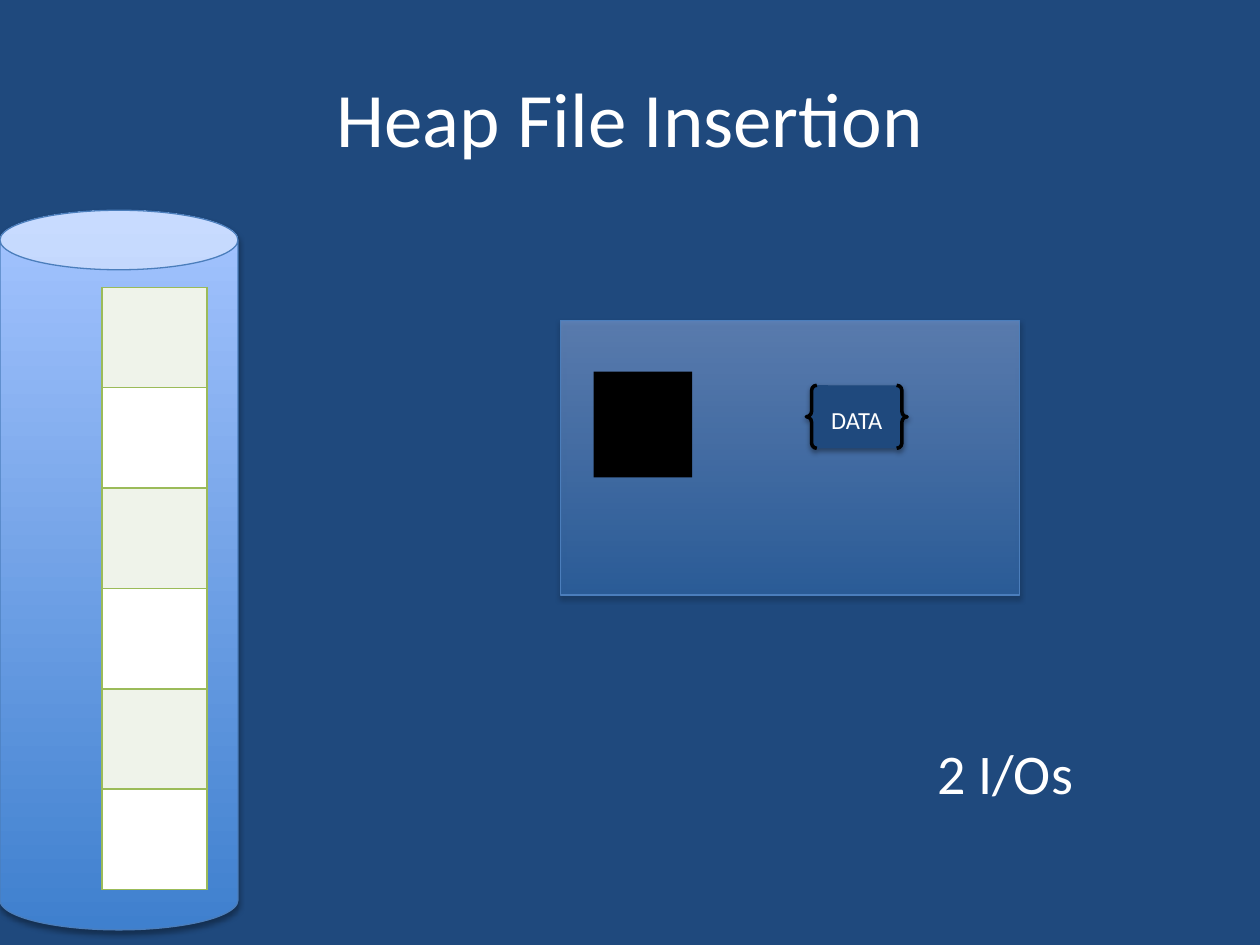
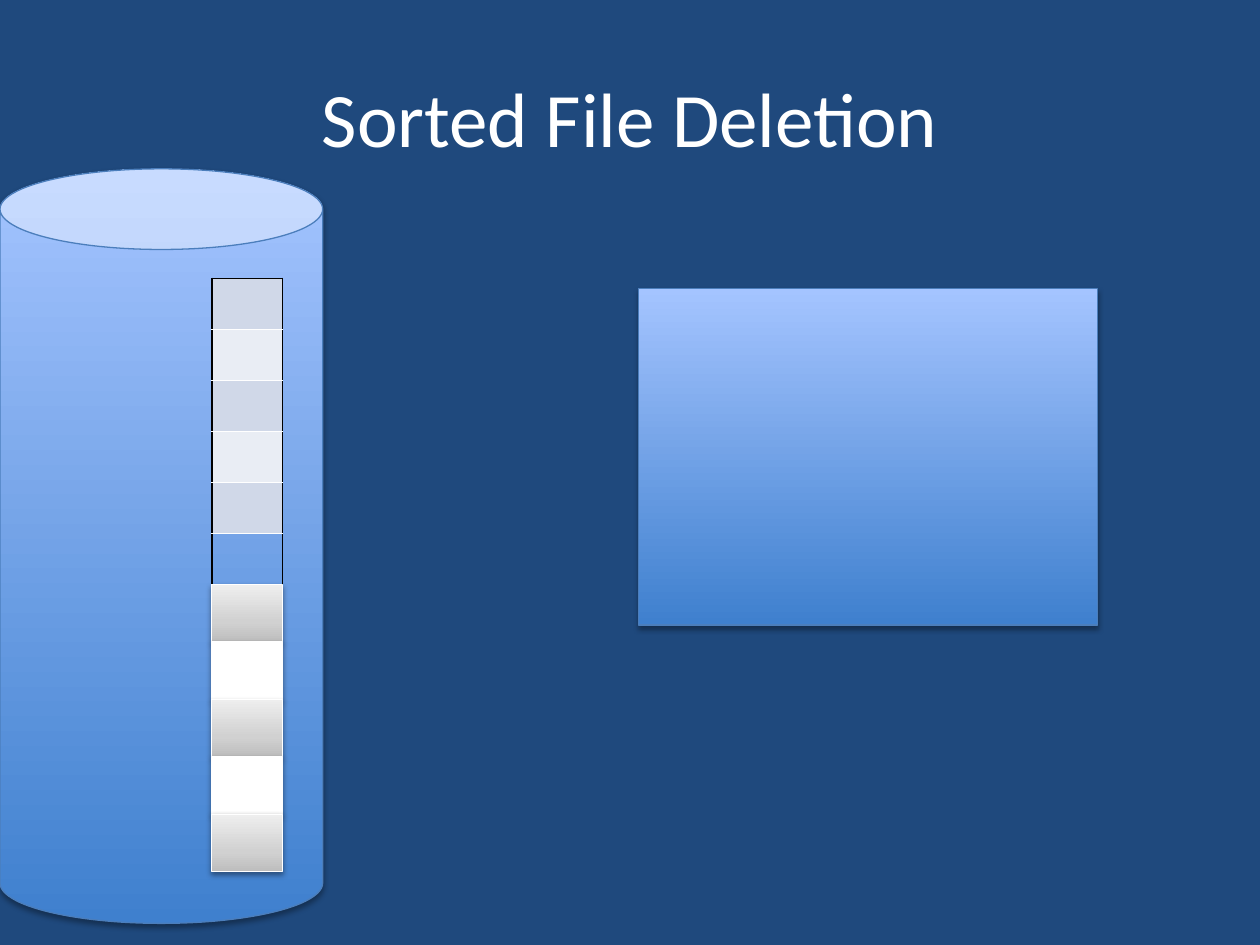
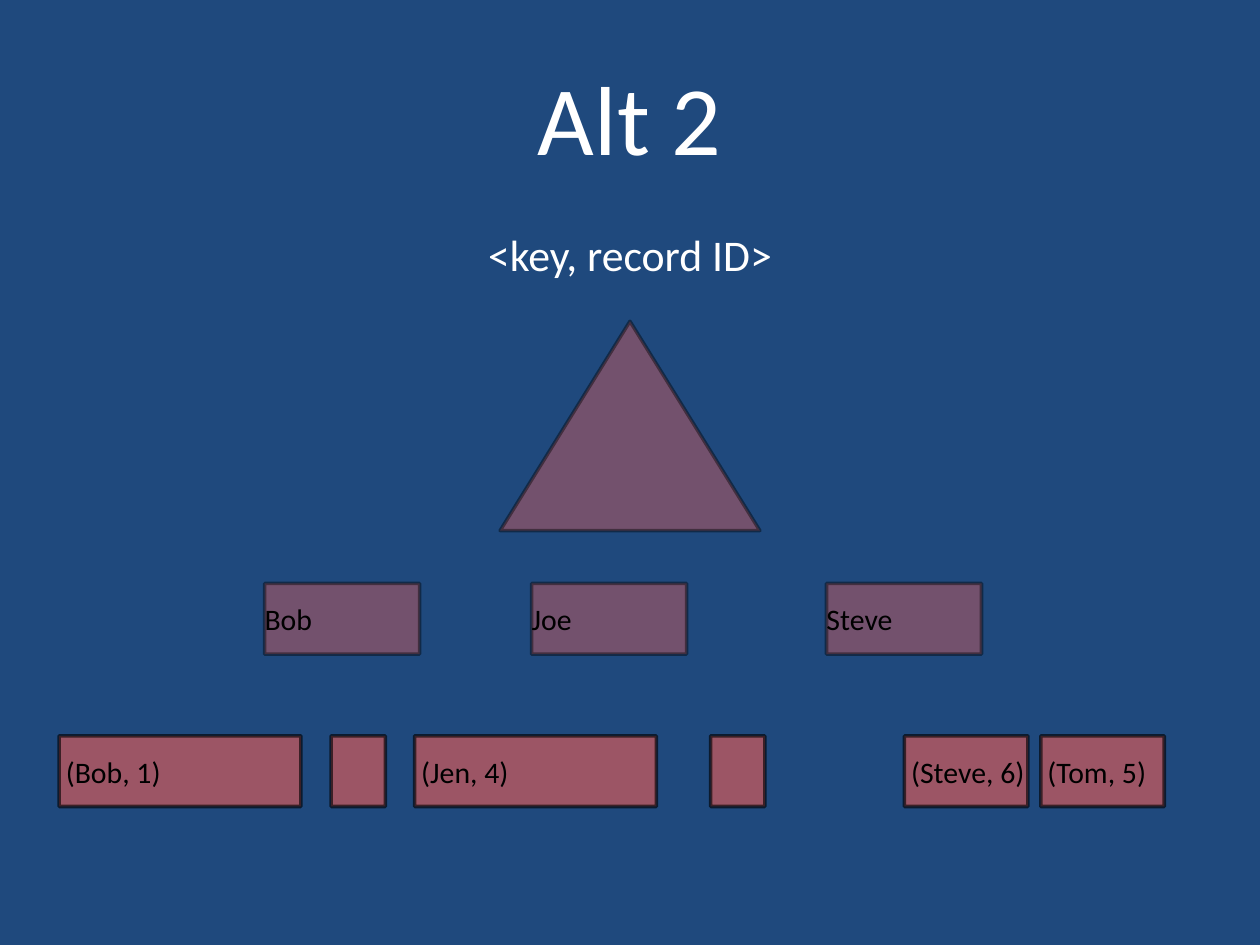
import lxml.etree
import pptx
import pptx.dml.color
import pptx.enum.shapes
import pptx.enum.text
import pptx.oxml.ns
import pptx.util

Pt = pptx.util.Pt
qn = pptx.oxml.ns.qn
SHAPES = pptx.enum.shapes.MSO_SHAPE
ALIGN = pptx.enum.text.PP_ALIGN
ANCHOR = pptx.enum.text.MSO_ANCHOR

FONT = "Calibri"
NAVY, WHITE, BLACK = "1F497D", "FFFFFF", "000000"
BLUE_EDGE, GREEN, CORAL = "4B7EBC", "9BBB59", "EC5D57"
BLUE_STOPS = [(0, "3F80CE"), (100, "A4C4FF")]
GRAY_STOPS = [(0, "BDBDBD"), (35, "D1D1D1"), (100, "EEEEEE")]


def rgb(value):
    return pptx.dml.color.RGBColor.from_string(value)


def add_element(parent, tag, **attributes):
    element = lxml.etree.SubElement(parent, qn(tag))
    for name, value in attributes.items():
        element.set(name, str(value))
    return element


def set_alpha(element, percent):
    """Make every colour inside the element translucent."""
    for color in list(element.iter(qn("a:srgbClr"))):
        add_element(color, "a:alpha", val=percent * 1000)


def fill_gradient(shape, stops):
    """Fill from bottom to top with (percent, colour) stops."""
    shape.fill.gradient()
    shape.fill.gradient_angle = 90
    stop_list = shape._element.spPr.find(".//" + qn("a:gsLst"))
    stop_list[:] = []
    for percent, color in stops:
        stop = add_element(stop_list, "a:gs", pos=percent * 1000)
        add_element(stop, "a:srgbClr", val=color)


def add_shadow(shape, opacity, distance):
    effects = shape._element.spPr.find(qn("a:effectLst"))
    shadow = add_element(effects, "a:outerShdw", blurRad=Pt(3.1), dist=Pt(distance),
                         dir=90 * 60000, rotWithShape=0)
    add_element(shadow, "a:srgbClr", val=BLACK)
    set_alpha(shadow, opacity)


def write(text_frame, text, size, color=WHITE, align=ALIGN.LEFT, anchor=ANCHOR.TOP):
    text_frame.word_wrap = True
    text_frame.vertical_anchor = anchor
    paragraph = text_frame.paragraphs[0]
    paragraph.alignment = align
    run = paragraph.add_run()
    run.text = text
    run.font.name = FONT
    run.font.size = Pt(size)
    run.font.color.rgb = rgb(color)


def add_text(slide, box, text, size, **layout):
    text_box = slide.shapes.add_textbox(*map(Pt, box))
    write(text_box.text_frame, text, size, **layout)
    return text_box


def add_shape(slide, kind, box, fill, line=None, width=0.75):
    """Add a preset shape; fill is a colour or a list of gradient stops."""
    shape = slide.shapes.add_shape(kind, *map(Pt, box))
    shape.shadow.inherit = False
    if isinstance(fill, str):
        shape.fill.solid()
        shape.fill.fore_color.rgb = rgb(fill)
    else:
        fill_gradient(shape, fill)
    if line:
        shape.line.color.rgb = rgb(line)
        shape.line.width = Pt(width)
    else:
        shape.line.fill.background()
    return shape


def add_blue_panel(slide, kind, box, opacity=None):
    panel = add_shape(slide, kind, box, BLUE_STOPS, BLUE_EDGE)
    if opacity:
        set_alpha(panel._element.spPr.find(qn("a:gradFill")), opacity)
    add_shadow(panel, 35, 1.8)


def add_border(cell, side, color):
    border = lxml.etree.Element(qn("a:ln" + side), w=str(Pt(1)))
    add_element(add_element(border, "a:solidFill"), "a:srgbClr", val=color)
    properties = cell._tc.get_or_add_tcPr()
    position = len(properties.findall("*")) - len(properties.xpath("a:solidFill|a:noFill"))
    properties.insert(position, border)


def add_page_column(slide, box, fills, frame, divider):
    """Stack one cell per fill; None leaves a cell empty."""
    rows = len(fills)
    table = slide.shapes.add_table(rows, 1, *map(Pt, box)).table
    table.first_row = table.horz_banding = False
    for index, fill in enumerate(fills):
        table.rows[index].height = Pt(round(box[3] / rows, 2))
        cell = table.cell(index, 0)
        cell.margin_top = cell.margin_bottom = 0
        if fill:
            cell.fill.solid()
            cell.fill.fore_color.rgb = rgb(fill)
        else:
            cell.fill.background()
        top = frame if index == 0 else divider
        bottom = frame if index == rows - 1 else divider
        for side, color in zip("LRTB", (frame, frame, top, bottom)):
            add_border(cell, side, color)


def add_slide(presentation, title, size=44):
    slide = presentation.slides.add_slide(presentation.slide_layouts[6])
    slide.background.fill.solid()
    slide.background.fill.fore_color.rgb = rgb(NAVY)
    add_text(slide, (36, 21.6, 648, 90), title, size,
             align=ALIGN.CENTER, anchor=ANCHOR.MIDDLE)
    return slide


def add_memory_with_record(slide, box):
    left, top = box[:2]
    add_blue_panel(slide, SHAPES.RECTANGLE, box, opacity=46)
    add_shape(slide, SHAPES.RECTANGLE, (left + 18.8, top + 29.4, 56.4, 60.4), BLACK)
    record = add_shape(slide, SHAPES.DOUBLE_BRACE, (left + 140.4, top + 37.2, 57.6, 36),
                       NAVY, BLACK, 2)
    add_shadow(record, 38, 1.6)
    write(record.text_frame, "DATA", 14, align=ALIGN.CENTER, anchor=ANCHOR.MIDDLE)


def add_shifted_pages(slide, box, count):
    left, top, width, height = box
    page_height = height / count
    for index in range(count):
        page = add_shape(slide, SHAPES.RECTANGLE,
                         (left, top + index * page_height, width, page_height),
                         WHITE if index % 2 else GRAY_STOPS, WHITE)
        add_shadow(page, 38, 1.6)


def add_node(slide, kind, box, opacity, text="", indent=0):
    node = add_shape(slide, kind, box, CORAL, BLACK, 2)
    set_alpha(node._element.spPr, opacity)
    if text:
        frame = node.text_frame
        frame.margin_top = frame.margin_right = frame.margin_bottom = 0
        frame.margin_left = Pt(indent)
        write(frame, text, 17, color=BLACK, anchor=ANCHOR.MIDDLE)


def add_node_row(slide, top, nodes, opacity, indent=0):
    """Place (left, width, text) nodes side by side."""
    for left, width, text in nodes:
        add_node(slide, SHAPES.RECTANGLE, (left, top, width, 40.4), opacity, text, indent)


def build_heap_insertion(presentation):
    slide = add_slide(presentation, "Heap File Insertion")
    add_blue_panel(slide, SHAPES.CAN, (0, 120.2, 136, 411.2))
    add_page_column(slide, (58.2, 164.2, 60, 344.2), ["EFF3EA", WHITE] * 3, GREEN, GREEN)
    cost = add_text(slide, (528.5, 418.3, 92.9, 46), "2 I/Os", 32)
    cost.text_frame.word_wrap = False
    add_memory_with_record(slide, (320.4, 183, 262, 157))


def build_sorted_deletion(presentation):
    slide = add_slide(presentation, "Sorted File Deletion")
    add_blue_panel(slide, SHAPES.CAN, (0, 96.5, 184.4, 431.2))
    add_blue_panel(slide, SHAPES.RECTANGLE, (365, 165, 262, 192.2))
    kept_pages = ["D0D8E8", "E9EDF4"] * 2 + ["D0D8E8", None]
    add_page_column(slide, (121, 159.1, 40.3, 175), kept_pages, BLACK, WHITE)
    add_shifted_pages(slide, (121, 334.1, 40.3, 164), 5)


def build_index_alternative(presentation):
    slide = add_slide(presentation, "Alt 2", 56)
    add_text(slide, (52.5, 126.7, 615, 49), "<key, record ID>", 25, align=ALIGN.CENTER)
    add_node(slide, SHAPES.ISOSCELES_TRIANGLE, (285.8, 183.6, 148.4, 119.6), 41)
    key_width, wide, half, narrow = 88.6, 138.2, 70.6, 31
    add_node_row(slide, 333.4, [(151.2, key_width, "Bob"), (303.8, key_width, "Joe"),
                                (472.3, key_width, "Steve")], 41)
    add_node_row(slide, 420.5, [
        (33.8, wide, "(Bob, 1)"), (189.2, narrow, ""),
        (236.9, wide, "(Jen, 4)"), (406.1, narrow, ""),
        (516.8, half, "(Steve, 6)"), (594.7, half, "(Tom, 5)"),
    ], 61, indent=3.8)


def main():
    presentation = pptx.Presentation()
    presentation.slide_width, presentation.slide_height = Pt(720), Pt(540)
    build_heap_insertion(presentation)
    build_sorted_deletion(presentation)
    build_index_alternative(presentation)
    presentation.save("out.pptx")


if __name__ == "__main__":
    main()
